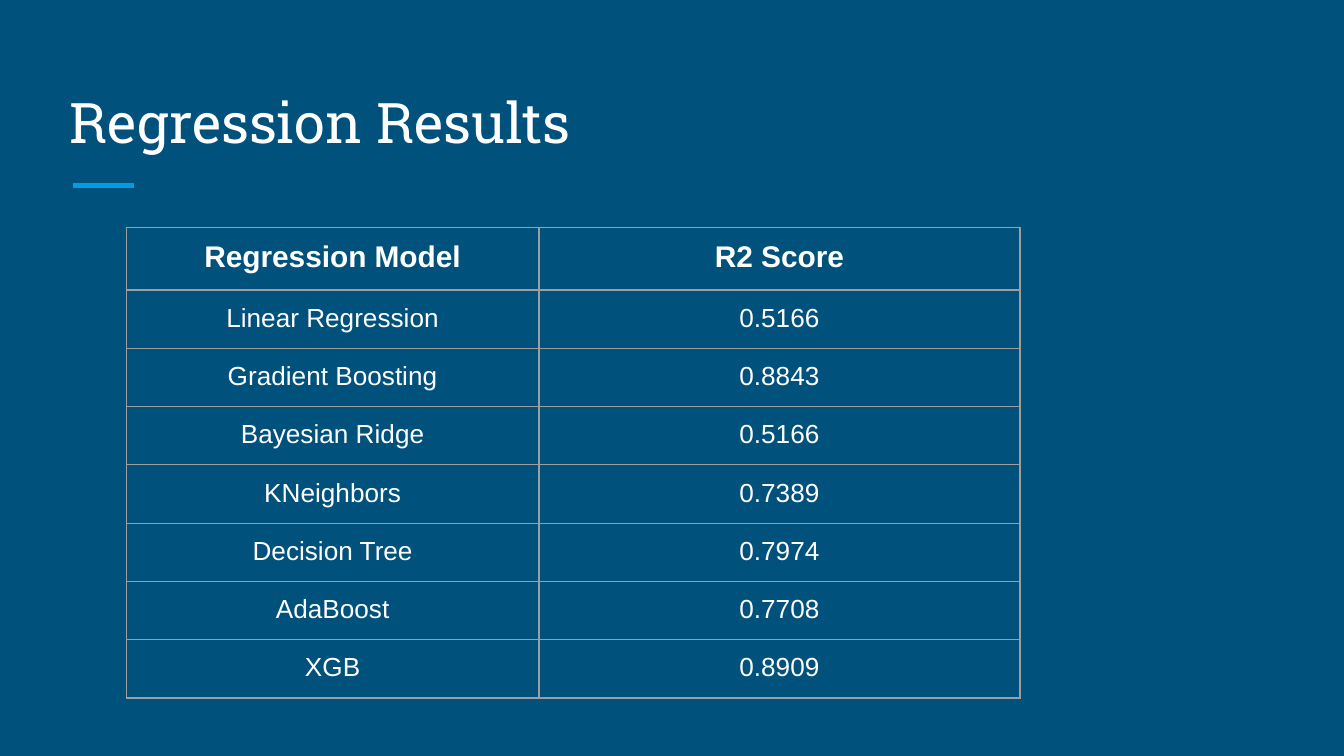
from typing import NamedTuple

from lxml.etree import SubElement
from pptx import Presentation
from pptx.dml.color import RGBColor
from pptx.enum.shapes import MSO_CONNECTOR as Connector
from pptx.enum.text import MSO_ANCHOR as Anchor, PP_ALIGN as Align
from pptx.oxml.ns import qn
from pptx.util import Inches, Pt

WIDTH = 10
HEIGHT = WIDTH * 9 / 16
NAVY, SKY, WHITE, GREY = "00517C", "039BE5", "FFFFFF", "9E9E9E"
MARGINS = {f"margin_{side}": Inches(0.1) for side in ("left", "right", "top", "bottom")}


class TextFormat(NamedTuple):
    font: str
    size: float
    bold: bool = False


class Score(NamedTuple):
    model: str
    value: str


TITLE = TextFormat("Roboto Slab", 30)
HEADER = TextFormat("Arial", 16, True)
BODY = TextFormat("Arial", 14)

HEADINGS = Score("Regression Model", "R2 Score")
SCORES = [
    Score("Linear Regression", "0.5166"),
    Score("Gradient Boosting", "0.8843"),
    Score("Bayesian Ridge", "0.5166"),
    Score("KNeighbors", "0.7389"),
    Score("Decision Tree", "0.7974"),
    Score("AdaBoost", "0.7708"),
    Score("XGB", "0.8909"),
]
COLUMN_WIDTHS = (3.07, 3.58)
MINIMUM_ROW_HEIGHT = 0.35


def color(value: str) -> RGBColor:
    return RGBColor.from_string(value)


def set_values(target, values: dict) -> None:
    for name, value in values.items():
        setattr(target, name, value)


def write(frame, text: str, style: TextFormat, align: Align) -> None:
    para = frame.paragraphs[0]
    para.alignment = align
    span = para.add_run()
    span.text = text
    set_values(span.font, {"name": style.font, "size": Pt(style.size), "bold": style.bold})
    span.font.color.rgb = color(WHITE)


def add_title(page, text: str) -> None:
    box = page.shapes.add_textbox(Inches(0.42), Inches(0.5), Inches(9.15), Inches(0.75))
    set_values(box.text_frame, {"word_wrap": True, "vertical_anchor": Anchor.BOTTOM, **MARGINS})
    write(box.text_frame, text, TITLE, Align.LEFT)


def add_accent(page) -> None:
    left, right, top = Inches(0.54), Inches(1), Inches(1.38)
    accent = page.shapes.add_connector(Connector.STRAIGHT, left, top, right, top)
    accent.line.color.rgb = color(SKY)
    accent.line.width = Pt(3)
    SubElement(accent._element.spPr, qn("a:effectLst"))


def add_borders(cell) -> None:
    properties = cell._tc.get_or_add_tcPr()
    for side in ("lnL", "lnR", "lnT", "lnB"):
        line = SubElement(properties, qn(f"a:{side}"), w=str(Pt(0.75)))
        fill = SubElement(line, qn("a:solidFill"))
        SubElement(fill, qn("a:srgbClr"), val=GREY)


def add_score_table(page, rows: list[Score]) -> None:
    """Rows start at the minimum height and grow to fit their text."""
    table = page.shapes.add_table(
        len(rows), len(COLUMN_WIDTHS), Inches(0.94), Inches(1.69),
        Inches(sum(COLUMN_WIDTHS)), Inches(MINIMUM_ROW_HEIGHT * len(rows)),
    ).table
    set_values(table, {"first_row": False, "horz_banding": False})
    for column, width in zip(table.columns, COLUMN_WIDTHS):
        column.width = Inches(width)
    for index, (row, score) in enumerate(zip(table.rows, rows)):
        row.height = Inches(MINIMUM_ROW_HEIGHT)
        for cell, text in zip(row.cells, score):
            set_values(cell, MARGINS)
            add_borders(cell)
            cell.fill.background()
            write(cell.text_frame, text, BODY if index else HEADER, Align.CENTER)


def main() -> None:
    deck = Presentation()
    set_values(deck, {"slide_width": Inches(WIDTH), "slide_height": Inches(HEIGHT)})
    page = deck.slides.add_slide(deck.slide_layouts[6])
    page.background.fill.solid()
    page.background.fill.fore_color.rgb = color(NAVY)
    add_accent(page)
    add_title(page, "Regression Results")
    add_score_table(page, [HEADINGS, *SCORES])
    deck.save("out.pptx")


if __name__ == "__main__":
    main()
